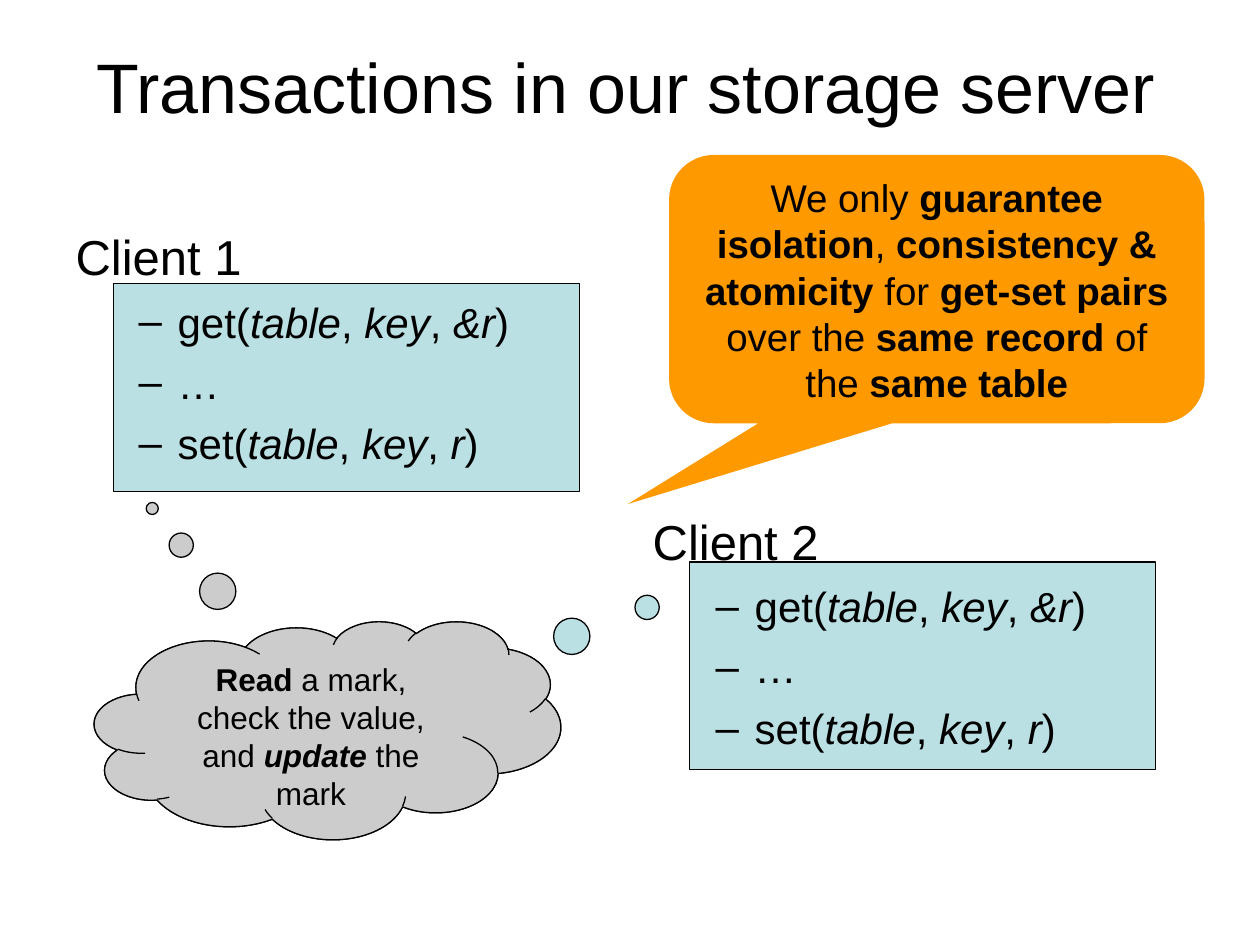
from dataclasses import dataclass
from typing import NamedTuple

from lxml.etree import SubElement
from pptx import Presentation
from pptx.dml.color import RGBColor
from pptx.enum.shapes import MSO_SHAPE as Preset
from pptx.enum.text import MSO_ANCHOR as Anchor, MSO_AUTO_SIZE as AutoSize, PP_ALIGN as Align
from pptx.oxml.ns import qn
from pptx.util import Inches, Pt


@dataclass(frozen=True)
class Theme:
    font: str = "Arial"
    ink: RGBColor = RGBColor(0x00, 0x00, 0x00)
    client: RGBColor = RGBColor(0xBB, 0xE0, 0xE3)
    thought: RGBColor = RGBColor(0xCC, 0xCC, 0xCC)
    speech: RGBColor = RGBColor(0xFF, 0x99, 0x00)
    title_size: int = 40
    client_size: int = 28
    call_size: int = 24
    speech_size: int = 22
    thought_size: int = 18
    line_width: float = 0.75


class Box(NamedTuple):
    left: float
    top: float
    width: float
    height: float


class Span(NamedTuple):
    text: str
    bold: bool = False
    italic: bool = False


@dataclass(frozen=True)
class Client:
    name: str
    placeholder: int
    text_box: Box
    top_margin: float
    panel: Box


@dataclass(frozen=True)
class Bubble:
    preset: Preset
    box: Box
    adjustments: tuple[float, ...]
    fill: RGBColor
    outlined: bool = True
    spans: tuple[Span, ...] = ()
    size: int = 0


THEME = Theme()

CLOUD_BOX = Box(0.75, 4.93, 3.7, 1.73)

CLIENTS = (
    Client("Client 1", 1, Box(0.5, 1.75, 4.42, 4.95), 0.05, Box(0.9, 2.25, 3.7, 1.65)),
    Client("Client 2", 2, Box(5.08, 1.75, 4.42, 4.95), 2.31, Box(5.47, 4.46, 3.7, 1.65)),
)

SHARED_ARGUMENTS = (Span("table", italic=True), Span(", "), Span("key", italic=True), Span(", "))
CALLS = (
    (Span("get("), *SHARED_ARGUMENTS, Span("&r", italic=True), Span(")")),
    (Span("…"),),
    (Span("set("), *SHARED_ARGUMENTS, Span("r", italic=True), Span(")")),
)

CLIENT_2_THOUGHT = Bubble(Preset.CLOUD_CALLOUT, CLOUD_BOX, (0.823, -0.676), THEME.client)
CLIENT_1_THOUGHT = Bubble(
    Preset.CLOUD_CALLOUT, CLOUD_BOX, (-0.376, -1.017), THEME.thought,
    spans=(
        Span("Read", bold=True),
        Span(" a mark, check the value, and "),
        Span("update", bold=True, italic=True),
        Span(" the mark"),
    ),
    size=THEME.thought_size,
)
GUARANTEE = Bubble(
    Preset.ROUNDED_RECTANGULAR_CALLOUT, Box(5.31, 1.23, 4.25, 2.13),
    (-0.577, 0.801, 0.167), THEME.speech, outlined=False,
    spans=(
        Span("We only "),
        Span("guarantee isolation", bold=True),
        Span(", "),
        Span("consistency & atomicity", bold=True),
        Span(" for "),
        Span("get-set pairs", bold=True),
        Span(" over the "),
        Span("same record", bold=True),
        Span(" of the "),
        Span("same table", bold=True),
    ),
    size=THEME.speech_size,
)


def place(shape, box: Box) -> None:
    shape.left, shape.top, shape.width, shape.height = map(Inches, box)


def write_spans(paragraph, spans: tuple[Span, ...], size: int) -> None:
    for span in spans:
        run = paragraph.add_run()
        run.text = span.text
        font = run.font
        font.name, font.size = THEME.font, Pt(size)
        font.bold, font.italic = span.bold, span.italic
        font.color.rgb = THEME.ink


def set_indent(paragraph, margin: float, indent: float, bullet: str = "") -> None:
    properties = paragraph._p.get_or_add_pPr()
    properties.set("marL", str(Inches(margin)))
    properties.set("indent", str(Inches(indent)))
    if bullet:
        SubElement(properties, qn("a:buChar")).set("char", bullet)
    else:
        SubElement(properties, qn("a:buNone"))


def draw_shape(slide, preset: Preset, box: Box, fill: RGBColor, outlined: bool = True):
    shape = slide.shapes.add_shape(preset, *map(Inches, box))
    shape.shadow.inherit = False
    shape.fill.solid()
    shape.fill.fore_color.rgb = fill
    if outlined:
        shape.line.color.rgb = THEME.ink
        shape.line.width = Pt(THEME.line_width)
    else:
        shape.line.fill.background()
    return shape


def draw_bubble(slide, bubble: Bubble) -> None:
    shape = draw_shape(slide, bubble.preset, bubble.box, bubble.fill, bubble.outlined)
    for index, value in enumerate(bubble.adjustments):
        shape.adjustments[index] = value
    if bubble.spans:
        text_frame = shape.text_frame
        text_frame.word_wrap = True
        text_frame.vertical_anchor = Anchor.TOP
        paragraph = text_frame.paragraphs[0]
        paragraph.alignment = Align.CENTER
        write_spans(paragraph, bubble.spans, bubble.size)


def write_title(slide) -> None:
    title = slide.shapes.title
    place(title, Box(0.43, 0.05, 9.07, 1.25))
    text_frame = title.text_frame
    text_frame.auto_size = AutoSize.NONE
    text_frame.vertical_anchor = Anchor.MIDDLE
    paragraph = text_frame.paragraphs[0]
    paragraph.alignment = Align.CENTER
    write_spans(paragraph, (Span("Transactions in our storage server"),), THEME.title_size)


def write_client(slide, client: Client) -> None:
    body = slide.placeholders[client.placeholder]
    place(body, client.text_box)
    text_frame = body.text_frame
    text_frame.auto_size = AutoSize.NONE
    text_frame.margin_top = Inches(client.top_margin)
    heading = text_frame.paragraphs[0]
    heading.space_before = Pt(7)
    set_indent(heading, 0.38, -0.38)
    write_spans(heading, (Span(client.name),), THEME.client_size)
    for call in CALLS:
        paragraph = text_frame.add_paragraph()
        paragraph.level = 1
        paragraph.space_before = Pt(6)
        set_indent(paragraph, 0.81, -0.31, "–")
        write_spans(paragraph, call, THEME.call_size)


def main() -> None:
    presentation = Presentation()
    presentation.slide_width, presentation.slide_height = Inches(10), Inches(7.5)
    slide = presentation.slides.add_slide(presentation.slide_layouts[3])
    text_shapes = list(slide.placeholders)
    draw_bubble(slide, CLIENT_2_THOUGHT)
    for client in reversed(CLIENTS):
        draw_shape(slide, Preset.RECTANGLE, client.panel, THEME.client)
    write_title(slide)
    for client in CLIENTS:
        write_client(slide, client)
    for shape in text_shapes:
        slide.shapes._spTree.append(shape._element)
    draw_bubble(slide, CLIENT_1_THOUGHT)
    draw_bubble(slide, GUARANTEE)
    presentation.save("out.pptx")


if __name__ == "__main__":
    main()
